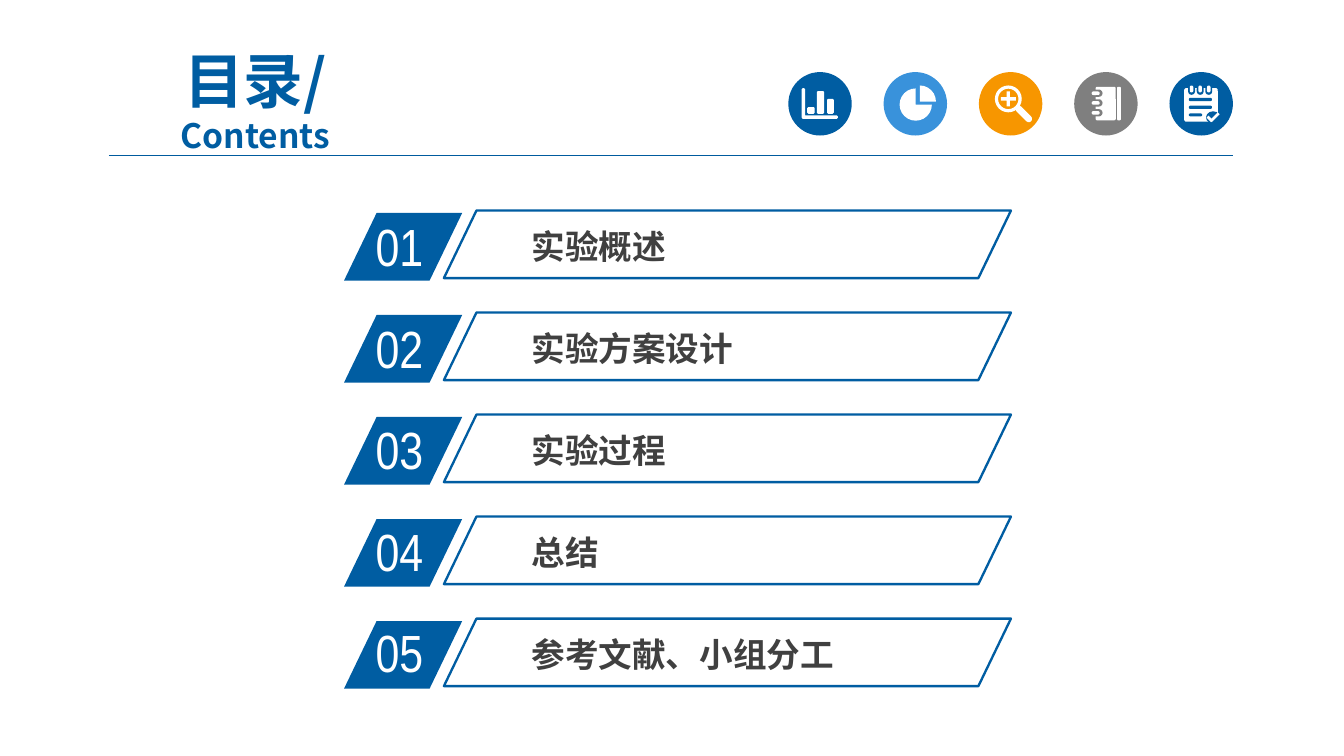
from lxml import etree
from pptx import Presentation
from pptx.dml.color import RGBColor
from pptx.enum.shapes import MSO_CONNECTOR, MSO_SHAPE
from pptx.enum.text import MSO_ANCHOR, PP_ALIGN
from pptx.oxml.ns import qn
from pptx.util import Pt

SLANTED = MSO_SHAPE.PARALLELOGRAM
OVAL = MSO_SHAPE.OVAL
RECT = MSO_SHAPE.RECTANGLE
ROUND = MSO_SHAPE.ROUNDED_RECTANGLE
PIE = MSO_SHAPE.PIE
DONUT = MSO_SHAPE.DONUT
CROSS = MSO_SHAPE.CROSS

COLORS = {"blue": "005DA2", "rule": "005B9E", "sky": "3992DB", "orange": "F79600",
          "gray": "7F7F7F", "white": "FFFFFF", "text": "404040"}
HEADING_FONT = "Noto Sans CJK SC"
NUMBER_FONT = "Arial Narrow"

TITLE = ("目录/", "Contents")
SECTIONS = ["实验概述", "实验方案设计", "实验过程", "总结", "参考文献、小组分工"]

# Bar chart icon, drawn as one outline: axis corner points and bar boxes
CHART_AXIS = [(7.2, 9.2), (7.8, 8.6), (8.4, 8.6), (9, 9.2), (9, 23.3), (26, 23.3),
              (26.6, 23.9), (26.6, 24.5), (26, 25.1), (7.8, 25.1), (7.2, 24.5)]
CHART_BARS = [(10.2, 18.8, 4, 3.6), (15.3, 10.2, 4, 12.2), (20.8, 14.4, 3.6, 8)]
BAR_CORNER = 0.6

# Icon parts: preset, box inside the badge, color, adjustments, rotation
ICONS = [
    ("blue", []),  # bar chart
    ("sky", [  # pie chart
        (PIE, (8.6, 8.8, 17.3, 17.3), "white", [], 0),
        (PIE, (10.8, 7.2, 17.3, 17.3), "white", [162, 0], 0),
    ]),
    ("orange", [  # magnifier
        (DONUT, (8.6, 7.2, 14.4, 14.4), "white", [0.12], 0),
        (CROSS, (11.8, 10.4, 8, 8), "white", [0.39], 0),
        (ROUND, (18.6, 20.7, 11, 3.6), "white", [0.5], 45),
    ]),
    ("gray", [  # notebook
        (ROUND, (11.5, 7.9, 10.8, 18), "white", [0.08], 0),
        (ROUND, (23, 7.9, 2, 18), "white", [0.3], 0),
    ] + [
        part for top in (9.4, 14.6, 19.9) for part in (
            (ROUND, (9.4, top, 5.8, 3.9), "gray", [0.5], 0),
            (ROUND, (9.4, top + 1, 4.3, 1.9), "white", [0.5], 0))
    ]),
    ("blue", [  # checklist
        (ROUND, (7.9, 8.6, 18, 18), "white", [0.06], 0),
        (ROUND, (10.4, 13.8, 12.4, 1.8), "blue", [0.5], 0),
        (ROUND, (10.4, 18, 12.4, 1.8), "blue", [0.5], 0),
        (ROUND, (10.4, 22.2, 7.2, 1.5), "blue", [0.5], 0),
        (OVAL, (19.6, 21, 7.6, 6.6), "blue", [], 0),
        (RECT, (19.9, 24.4, 3.4, 1.5), "white", [], 45),
        (RECT, (21.3, 23.4, 6, 1.5), "white", [], -45),
    ] + [
        part for left in (10, 14.6, 19.2) for part in (
            (ROUND, (left, 7, 3.7, 5.2), "blue", [0.5], 0),
            (ROUND, (left + 0.9, 7.2, 1.9, 3.7), "white", [0.5], 0))
    ]),
]
BADGE_LEFT, BADGE_TOP, BADGE_SIZE, BADGE_PITCH = 422.3, 38.6, 34, 51.05
ROW_TOP, ROW_PITCH = 112.8, 54.65
NUMBER_TOP, NUMBER_PITCH = 111.5, 54.35
SLANT = 0.482


def color(name):
    return RGBColor.from_string(COLORS[name])


def paint(shape, fill=None, line=None):
    shape.shadow.inherit = False
    if fill:
        shape.fill.solid()
        shape.fill.fore_color.rgb = color(fill)
    else:
        shape.fill.background()
    if line:
        shape.line.color.rgb = color(line)
        shape.line.width = Pt(1.25)
    else:
        shape.line.fill.background()


def add_preset(slide, preset, box, fill=None, line=None, adjustments=(), rotation=0):
    shape = slide.shapes.add_shape(preset, *map(Pt, box))
    shape.rotation = rotation
    for index, value in enumerate(adjustments):
        shape.adjustments[index] = value
    paint(shape, fill, line)


def bar_outline(left, top, width, height):
    right, bottom, cut = left + width, top + height, BAR_CORNER
    return [(left + cut, top), (right - cut, top), (right, top + cut), (right, bottom - cut),
            (right - cut, bottom), (left + cut, bottom), (left, bottom - cut), (left, top + cut)]


def add_chart_icon(slide, left, top):
    outlines = [[(Pt(left + x), Pt(top + y)) for x, y in outline]
                for outline in [CHART_AXIS] + [bar_outline(*bar) for bar in CHART_BARS]]
    builder = slide.shapes.build_freeform(*outlines[0][0])
    builder.add_line_segments(outlines[0][1:], close=True)
    for outline in outlines[1:]:
        builder.move_to(*outline[0])
        builder.add_line_segments(outline[1:], close=True)
    paint(builder.convert_to_shape(), "white")


def format_run(run, size, font, fill, bold=False):
    run.font.size = Pt(size)
    run.font.name = font
    run.font.bold = bold
    run.font.color.rgb = color(fill)
    east_asian = etree.SubElement(run.font._element, qn("a:ea"))
    east_asian.set("typeface", font)


def add_text(slide, box, text, size, font, fill, bold=False):
    frame = slide.shapes.add_textbox(*map(Pt, box)).text_frame
    frame.word_wrap = True
    frame.text = text
    format_run(frame.paragraphs[0].runs[0], size, font, fill, bold)
    return frame


presentation = Presentation()
presentation.slide_width, presentation.slide_height = Pt(720), Pt(405)
slide = presentation.slides.add_slide(presentation.slide_layouts[6])

# Title
title = add_text(slide, (48, 33.8, 177.8, 38.9), TITLE[0], 32, HEADING_FONT, "blue", True)
title.vertical_anchor = MSO_ANCHOR.MIDDLE
paragraph = title.paragraphs[0]
paragraph.alignment = PP_ALIGN.CENTER
paragraph.add_line_break()
subtitle = paragraph.add_run()
subtitle.text = TITLE[1]
format_run(subtitle, 18, HEADING_FONT, "blue", True)

# Header rule
rule = slide.shapes.add_connector(MSO_CONNECTOR.STRAIGHT, Pt(58.3), Pt(83.4), Pt(660.3), Pt(83.4))
rule.line.color.rgb = color("rule")
rule.line.width = Pt(0.75)
etree.SubElement(rule._element.spPr, qn("a:effectLst"))

# Contents rows
for index, section in enumerate(SECTIONS):
    top = ROW_TOP + index * ROW_PITCH
    number_top = NUMBER_TOP + index * NUMBER_PITCH
    add_preset(slide, SLANTED, (184.3, top + 1.3, 63.3, 36.2), "blue", adjustments=[SLANT])
    add_text(slide, (194.2, number_top, 60.5, 35.3), f"{index + 1:02}", 28, NUMBER_FONT, "white")
    label = add_text(slide, (279.7, top + 5.4, 222.5, 27.4), section, 18, HEADING_FONT, "text", True)
    label.margin_left = label.margin_right = Pt(5)
    label.margin_top = label.margin_bottom = Pt(2.9)
    add_preset(slide, SLANTED, (237.8, top, 303.8, 36.2), line="blue", adjustments=[SLANT])

# Icon badges
for index, (badge_color, parts) in enumerate(ICONS):
    badge_left = BADGE_LEFT + index * BADGE_PITCH
    add_preset(slide, OVAL, (badge_left, BADGE_TOP, BADGE_SIZE, BADGE_SIZE), badge_color)
    for preset, (left, top, width, height), fill, adjustments, rotation in parts:
        box = (badge_left + left, BADGE_TOP + top, width, height)
        add_preset(slide, preset, box, fill, adjustments=adjustments, rotation=rotation)
add_chart_icon(slide, BADGE_LEFT, BADGE_TOP)

presentation.save("out.pptx")
